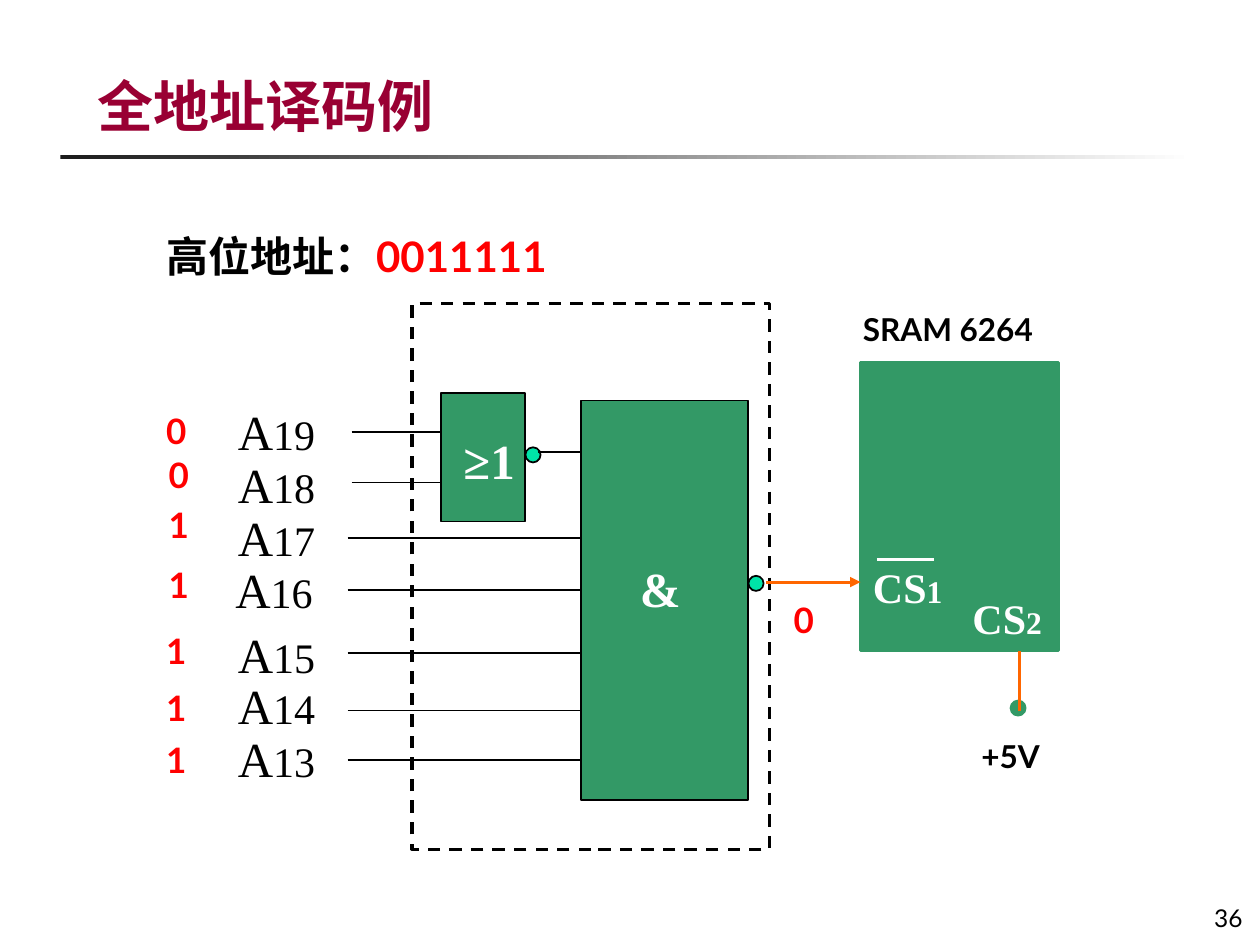
from dataclasses import dataclass
from typing import Optional

import lxml.etree
import pptx
import pptx.dml.color
import pptx.enum.dml
import pptx.enum.shapes
import pptx.enum.text
import pptx.oxml.ns
import pptx.util

Inches = pptx.util.Inches
Pt = pptx.util.Pt
SHAPES = pptx.enum.shapes.MSO_SHAPE
ALIGN = pptx.enum.text.PP_ALIGN
ANCHOR = pptx.enum.text.MSO_ANCHOR
AUTO_SIZE = pptx.enum.text.MSO_AUTO_SIZE

COLOURS = {
    "title": "990033",
    "rule": "1C1C1C",
    "block": "339966",
    "bubble": "00E4A8",
    "signal": "FF6600",
    "bit": "FF0000",
    "black": "000000",
    "white": "FFFFFF",
}
LATIN = "Lato"
CHINESE = "Noto Sans CJK SC"
SERIF = "Times New Roman"


@dataclass
class Span:
    text: str
    size: float
    font: Optional[str] = None
    colour: Optional[str] = None


@dataclass
class Label:
    left: float
    top: float
    width: float
    height: float
    spans: list[Span]
    font: str = LATIN
    colour: str = "black"
    bold: bool = True
    wrap: bool = True


@dataclass
class Block:
    left: float
    top: float
    width: float
    height: float
    fill: Optional[str]
    line: str
    weight: float = 1
    shape: int = SHAPES.RECTANGLE
    dashed: bool = False


@dataclass
class Wire:
    start: tuple[float, float]
    end: tuple[float, float]
    colour: str = "black"
    weight: float = 1
    arrow: bool = False


def rgb(name: str) -> pptx.dml.color.RGBColor:
    return pptx.dml.color.RGBColor.from_string(COLOURS[name])


def add_element(parent, tag: str, **attributes: str) -> None:
    lxml.etree.SubElement(parent, pptx.oxml.ns.qn(tag), **attributes)


def format_font(font, name: str, colour: str, bold: bool) -> None:
    font.name = name
    font.bold = bold
    font.color.rgb = rgb(colour)


def write_spans(paragraph, spans: list[Span]) -> None:
    for span in spans:
        run = paragraph.add_run()
        run.text = span.text
        run.font.size = Pt(span.size)
        if span.colour:
            run.font.color.rgb = rgb(span.colour)
        if span.font:
            run.font.name = span.font
            if span.font == CHINESE:
                add_element(run._r.get_or_add_rPr(), "a:ea", typeface=CHINESE)


def add_label(slide, label: Label):
    box = slide.shapes.add_textbox(
        Inches(label.left), Inches(label.top), Inches(label.width), Inches(label.height))
    frame = box.text_frame
    frame.word_wrap = label.wrap
    frame.auto_size = AUTO_SIZE.SHAPE_TO_FIT_TEXT
    if label.font == SERIF:
        frame.margin_top = Inches(0.08)
    paragraph = frame.paragraphs[0]
    format_font(paragraph.font, label.font, label.colour, label.bold)
    write_spans(paragraph, label.spans)
    return box


def add_block(slide, block: Block) -> None:
    shape = slide.shapes.add_shape(
        block.shape, Inches(block.left), Inches(block.top),
        Inches(block.width), Inches(block.height))
    shape.shadow.inherit = False
    if block.fill:
        shape.fill.solid()
        shape.fill.fore_color.rgb = rgb(block.fill)
    else:
        shape.fill.background()
    shape.line.color.rgb = rgb(block.line)
    shape.line.width = Pt(block.weight)
    if block.dashed:
        shape.line.dash_style = pptx.enum.dml.MSO_LINE.DASH


def add_wire(slide, wire: Wire) -> None:
    connector = slide.shapes.add_connector(
        pptx.enum.shapes.MSO_CONNECTOR.STRAIGHT,
        *(Inches(value) for value in wire.start + wire.end))
    connector.line.color.rgb = rgb(wire.colour)
    connector.line.width = Pt(wire.weight)
    if wire.arrow:
        add_element(connector.line._get_or_add_ln(), "a:tailEnd", type="triangle")
    add_element(connector._element.spPr, "a:effectLst")


def add_title(slide, text: str) -> None:
    title = slide.shapes.title
    title.left, title.top = Inches(0.67), Inches(0.23)
    title.width, title.height = Inches(7.99), Inches(0.92)
    title.text_frame.vertical_anchor = ANCHOR.BOTTOM
    paragraph = title.text_frame.paragraphs[0]
    paragraph.alignment = ALIGN.LEFT
    format_font(paragraph.font, CHINESE, "title", True)
    write_spans(paragraph, [Span(text, 32, CHINESE)])


def add_title_rule(slide) -> None:
    rule = slide.shapes.add_shape(
        SHAPES.RECTANGLE, Inches(0.48), Inches(1.23), Inches(9), Inches(0.03))
    rule.shadow.inherit = False
    rule.line.fill.background()
    rule.fill.gradient()
    rule.fill.gradient_angle = 0
    for stop, colour in zip(rule.fill.gradient_stops, ("rule", "white")):
        stop.color.rgb = rgb(colour)


def add_slide_number(slide, number: str) -> None:
    box = add_label(slide, Label(9.27, 6.95, 0.69, 0.5, [Span(number, 14)], bold=False))
    box.text_frame.auto_size = AUTO_SIZE.NONE
    box.text_frame.vertical_anchor = ANCHOR.BOTTOM
    box.text_frame.paragraphs[0].alignment = ALIGN.RIGHT


def bubble(left: float, top: float, fill: str = "bubble", line: str = "black") -> Block:
    return Block(left, top, 0.12, 0.12, fill, line, shape=SHAPES.OVAL)


def bit(left: float, top: float, value: str) -> Label:
    return Label(left, top, 0.39, 0.43, [Span(value, 20)], colour="bit")


def gate_label(left: float, top: float, text: str) -> Label:
    return Label(left, top, 0.75, 0.57, [Span(text, 28)], SERIF, "white")


def chip_select(left: float, top: float, index: str) -> Label:
    return Label(left, top, 0.94, 0.5, [Span("CS", 24), Span(index, 18)], SERIF, "white")


def address_line(left: float, top: float, index: int) -> Label:
    return Label(left, top, 1, 0.57, [Span("A", 28), Span(str(index), 24)], SERIF, bold=False)


def main() -> None:
    presentation = pptx.Presentation()
    presentation.slide_width, presentation.slide_height = Inches(10), Inches(7.5)
    slide = presentation.slides.add_slide(presentation.slide_layouts[5])
    add_title_rule(slide)
    add_title(slide, "全地址译码例")
    add_slide_number(slide, "36")

    blocks = [
        Block(6.83, 2.88, 1.57, 2.28, "block", "block", 1.75),
        Block(4.61, 3.18, 1.33, 3.17, "block", "black"),
        Block(3.5, 3.12, 0.67, 1.02, "block", "black"),
        bubble(4.17, 3.55),
        bubble(5.94, 4.57),
        bubble(8.02, 5.56, "block", "block"),
        Block(3.27, 2.41, 2.84, 4.33, None, "black", 1.75, dashed=True),
    ]
    wires = [Wire((2.79, y), (3.51, y)) for y in (3.43, 3.83)]
    wires += [Wire((2.76, y), (4.6, y)) for y in (4.27, 4.68, 5.18, 5.64, 6.03)]
    wires += [
        Wire((4.27, 3.59), (4.61, 3.59)),
        Wire((6.08, 4.62), (6.83, 4.62), "signal", 1.75, arrow=True),
        Wire((6.96, 4.44), (7.41, 4.44), "white", 1.75),
        Wire((8.09, 5.17), (8.09, 5.64), "signal", 1.75),
    ]
    inputs = [
        (1.79, 3.11, 1.22, 3.2, "0"),
        (1.79, 3.53, 1.24, 3.55, "0"),
        (1.79, 3.95, 1.24, 3.95, "1"),
        (1.77, 4.36, 1.24, 4.42, "1"),
        (1.79, 4.88, 1.22, 4.95, "1"),
        (1.79, 5.28, 1.22, 5.4, "1"),
        (1.79, 5.7, 1.22, 5.81, "1"),
    ]
    labels = [
        Label(1.22, 1.78, 4.96, 0.5,
              [Span("高位地址：", 24, CHINESE), Span("0011111", 24, LATIN, "bit")]),
        Label(6.75, 2.41, 1.65, 0.4, [Span("SRAM 6264", 18)], wrap=False),
        Label(7.69, 5.8, 1.02, 0.4, [Span("+5V", 18)]),
        gate_label(4.98, 4.35, "&"),
        gate_label(3.58, 3.34, "≥1"),
        chip_select(6.83, 4.38, "1"),
        chip_select(7.62, 4.62, "2"),
        bit(6.2, 4.7, "0"),
    ]
    for offset, (name_left, name_top, bit_left, bit_top, value) in enumerate(inputs):
        labels.append(address_line(name_left, name_top, 19 - offset))
        labels.append(bit(bit_left, bit_top, value))

    for block in blocks:
        add_block(slide, block)
    for wire in wires:
        add_wire(slide, wire)
    for label in labels:
        add_label(slide, label)
    presentation.save("out.pptx")


if __name__ == "__main__":
    main()
